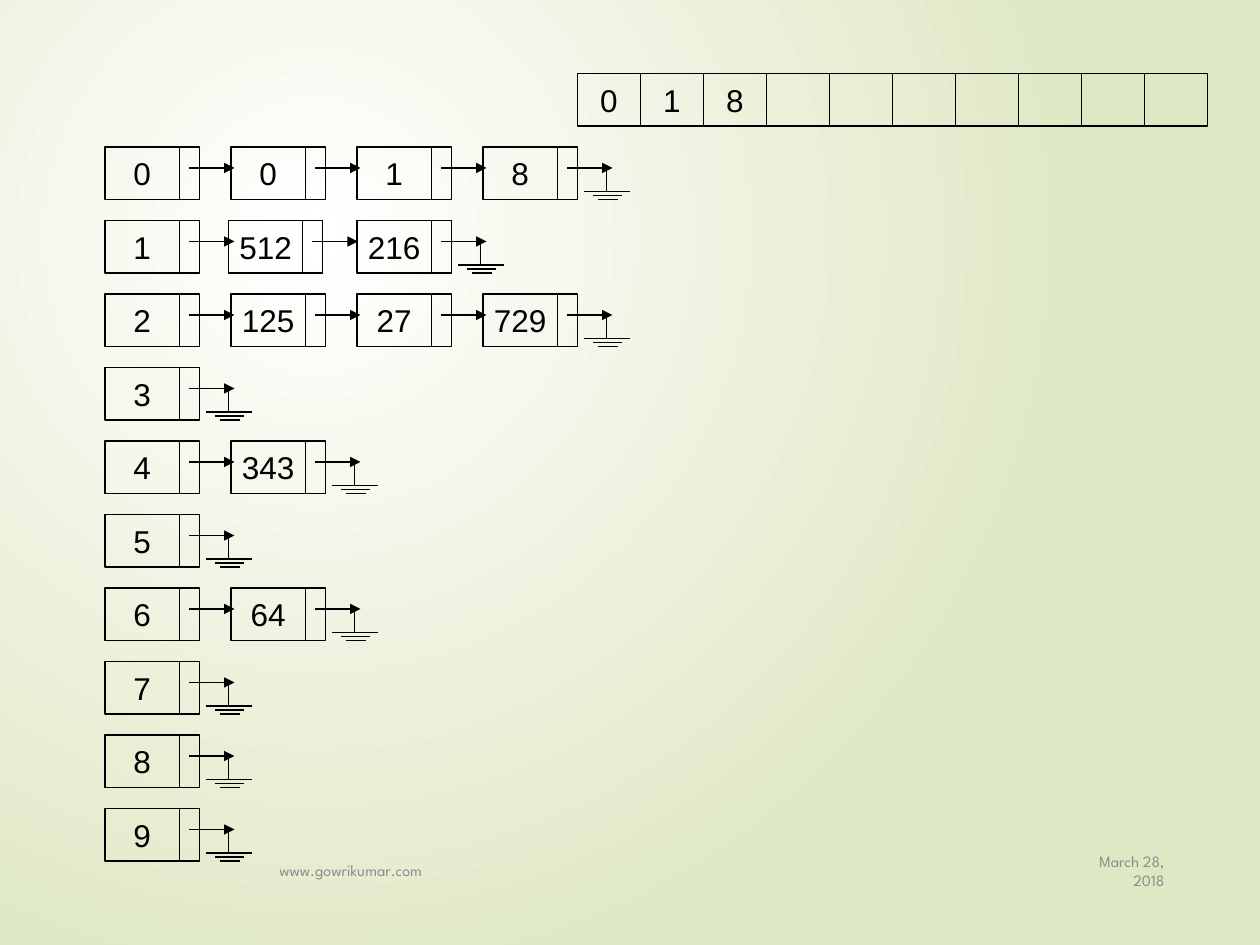
from dataclasses import dataclass
from lxml import etree
from pptx import Presentation
from pptx import util as u
from pptx.dml.color import RGBColor
from pptx.enum import shapes, text
from pptx.oxml.ns import qn


@dataclass
class Theme:
    ink: RGBColor = RGBColor(0x00, 0x00, 0x00)
    footer: RGBColor = RGBColor(0x8C, 0x8C, 0x8C)
    glow: RGBColor = RGBColor(0xFF, 0xFF, 0xFF)
    edge: RGBColor = RGBColor(0xDF, 0xE8, 0xC4)
    value_font: str = "Arial"
    footer_font: str = "League Spartan"
    value_size: int = 18
    footer_size: int = 9
    line_width: float = 0.75


theme = Theme()
presentation = Presentation()
presentation.slide_width = u.Pt(720)
presentation.slide_height = u.Pt(540)
slide = presentation.slides.add_slide(presentation.slide_layouts[6])

background = slide.background.fill
background.gradient()
for stop, color in zip(background.gradient_stops, (theme.glow, theme.edge)):
    stop.color.rgb = color
gradient = slide.background._cSld.find(".//" + qn("a:gradFill"))
gradient.remove(gradient.find(qn("a:lin")))
gradient_path = etree.SubElement(gradient, qn("a:path"), path="circle")
etree.SubElement(gradient_path, qn("a:fillToRect"), l="50000", t="50000", r="100000", b="100000")


def add_box(parent, left, top, width, height, label=""):
    shape = parent.add_shape(
        shapes.MSO_SHAPE.RECTANGLE, u.Pt(left), u.Pt(top), u.Pt(width), u.Pt(height))
    shape.shadow.inherit = False
    shape.fill.background()
    shape.line.color.rgb = theme.ink
    shape.line.width = u.Pt(theme.line_width)
    if label:
        frame = shape.text_frame
        frame.word_wrap = False
        frame.vertical_anchor = text.MSO_ANCHOR.MIDDLE
        paragraph = frame.paragraphs[0]
        paragraph.alignment = text.PP_ALIGN.CENTER
        run = paragraph.add_run()
        run.text = label
        run.font.name = theme.value_font
        run.font.size = u.Pt(theme.value_size)
        run.font.color.rgb = theme.ink


def add_line(parent, x1, y1, x2, y2, arrow=False):
    connector = parent.add_connector(
        shapes.MSO_CONNECTOR.STRAIGHT, u.Pt(x1), u.Pt(y1), u.Pt(x2), u.Pt(y2))
    connector.line.color.rgb = theme.ink
    connector.line.width = u.Pt(theme.line_width)
    if arrow:
        etree.SubElement(connector.line._get_or_add_ln(), qn("a:tailEnd"), type="triangle")
    etree.SubElement(connector._element.spPr, qn("a:effectLst"))


footers = [
    ("March 28, 2018", 612, 60.5, text.PP_ALIGN.RIGHT),
    ("www.gowrikumar.com", 152.5, 450, text.PP_ALIGN.LEFT),
]
for wording, left, width, alignment in footers:
    box = slide.shapes.add_textbox(u.Pt(left), u.Pt(483), u.Pt(width), u.Pt(28.75))
    frame = box.text_frame
    frame.word_wrap = True
    frame.vertical_anchor = text.MSO_ANCHOR.MIDDLE
    paragraph = frame.paragraphs[0]
    paragraph.alignment = alignment
    run = paragraph.add_run()
    run.text = wording
    run.font.name = theme.footer_font
    run.font.size = u.Pt(theme.footer_size)
    run.font.color.rgb = theme.footer

buckets = [
    ["0", "1", "8"], ["512", "216"], ["125", "27", "729"], [], ["343"],
    [], ["64"], [], [], [],
]
node_left, node_top = 60, 84
column_pitch, row_pitch = 72, 42
value_width, pointer_width, node_height = 42.5, 11.5, 30
nudges = {"512": -1.5}
ground_bars = [(58, 84, 25.5), (63, 79.5, 27.75), (65.5, 77, 30)]

for row, values in enumerate(buckets):
    top = node_top + row * row_pitch
    chain = [str(row)] + values
    for column, value in enumerate(chain):
        left = node_left + column * column_pitch + nudges.get(value, 0)
        node = slide.shapes.add_group_shape().shapes
        add_box(node, left, top, value_width, node_height, value)
        add_box(node, left + value_width, top, pointer_width, node_height)
        add_line(node, left + 48, top + 12, left + 74, top + 12, arrow=True)
        if column == len(chain) - 1:
            for start, end, depth in ground_bars:
                add_line(node, left + start, top + depth, left + end, top + depth)
            add_line(node, left + 70.5, top + 25.5, left + 70.5, top + 12)

sorted_values = ["0", "1", "8"] + [""] * 7
for index, value in enumerate(sorted_values):
    add_box(slide.shapes, 330 + index * 36, 42, 36, 30, value)

presentation.save("out.pptx")
